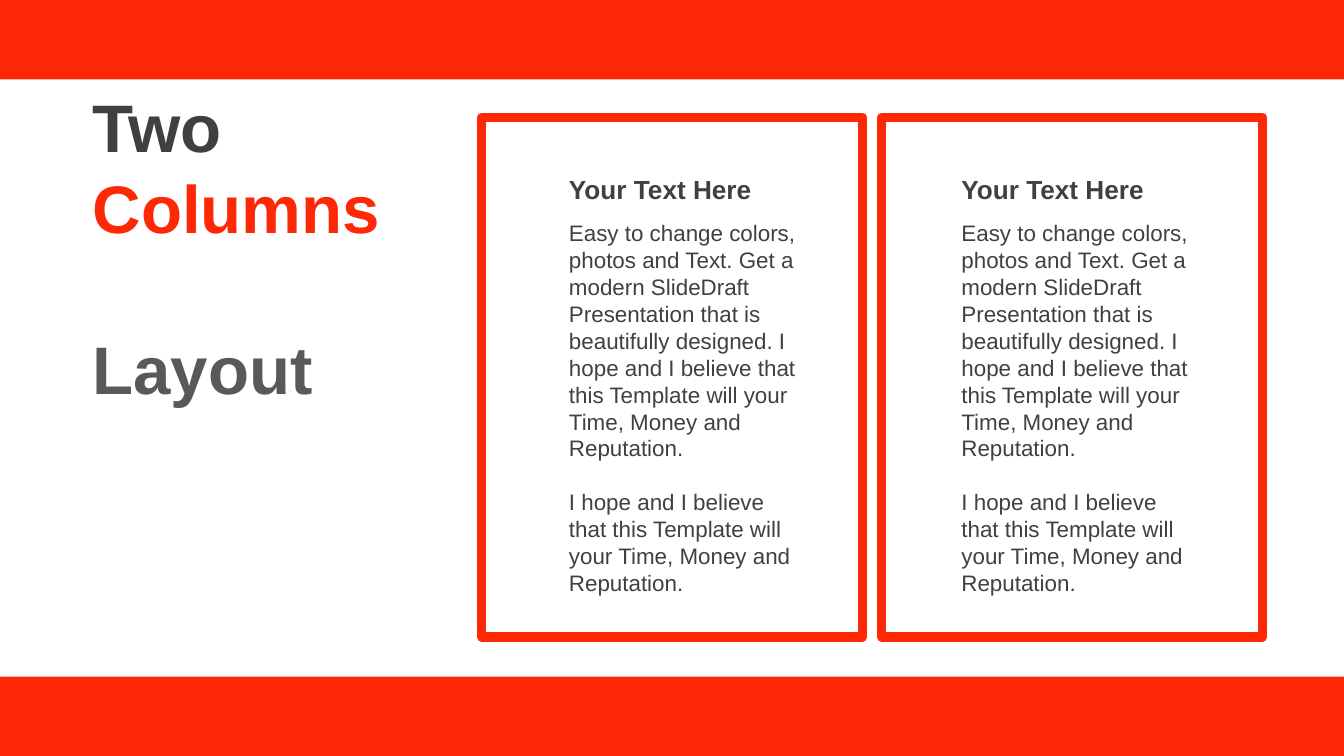
from dataclasses import dataclass

from lxml import etree
from pptx import Presentation
from pptx import util as u
from pptx.dml.color import RGBColor
from pptx.enum import shapes, text
from pptx.oxml import ns

PX = 4572
SLIDE_WIDTH, SLIDE_HEIGHT = 2000, 1125


@dataclass(frozen=True)
class Theme:
    font: str = "Arial"
    accent: str = "FD2906"
    dark: str = "404040"
    gray: str = "595959"
    white: str = "FFFFFF"
    title: int = 36
    heading: int = 14
    body: int = 12
    frame: int = 5
    leading: float = 1.2


THEME = Theme()
HEADING = "Your Text Here"
BODY = [
    "Easy to change colors, photos and Text. Get a modern SlideDraft "
    "Presentation that is beautifully designed. I hope and I believe that "
    "this Template will your Time, Money and Reputation.",
    "I hope and I believe that this Template will your Time, Money and Reputation.",
]


def emu(box):
    return [value * PX for value in box]


def add_rectangle(parent, box, fill=None, line=None):
    shape = parent.shapes.add_shape(shapes.MSO_SHAPE.RECTANGLE, *emu(box))
    shape.shadow.inherit = False
    if fill:
        shape.fill.solid()
        shape.fill.fore_color.rgb = RGBColor.from_string(fill)
    else:
        shape.fill.background()
    if line:
        shape.line.color.rgb = RGBColor.from_string(line)
        shape.line.width = u.Pt(THEME.frame)
        etree.SubElement(shape.line._get_or_add_ln(), ns.qn("a:round"))
    else:
        shape.line.fill.background()


def add_text(parent, box, paragraphs, size, bold=False, anchor=text.MSO_ANCHOR.TOP):
    frame = parent.shapes.add_textbox(*emu(box)).text_frame
    frame.word_wrap = True
    frame.vertical_anchor = anchor
    line_height = u.Pt(size * THEME.leading)
    font_format = {"name": THEME.font, "size": u.Pt(size), "bold": bold}
    for index, pieces in enumerate(paragraphs):
        paragraph = frame.add_paragraph() if index else frame.paragraphs[0]
        paragraph.line_spacing = line_height
        paragraph.space_before = line_height if index else u.Pt(0)
        for piece_index, (words, color) in enumerate(pieces):
            if piece_index:
                paragraph.add_line_break()
            run = paragraph.add_run()
            run.text = words
            for name, value in font_format.items():
                setattr(run.font, name, value)
            run.font.color.rgb = RGBColor.from_string(color)
        for line_break in paragraph._p.findall(ns.qn("a:br")):
            properties = etree.SubElement(line_break, ns.qn("a:rPr"))
            properties.set("sz", str(size * 100))


def add_bands(slide, height):
    for top in (SLIDE_HEIGHT - height, 0):
        add_rectangle(slide, (0, top, SLIDE_WIDTH, height), fill=THEME.accent)


def add_title(slide, box):
    pieces = [("Two ", THEME.dark), ("Columns ", THEME.accent), ("Layout", THEME.gray)]
    add_text(slide, box, [pieces], THEME.title, True, text.MSO_ANCHOR.MIDDLE)


def add_card(slide, box, text_inset):
    left, top, width, height = box
    card = slide.shapes.add_group_shape()
    add_rectangle(card, box, line=THEME.accent)
    add_rectangle(card, (left + 41, top + 29, width - 77, height - 57), fill=THEME.white)
    text_left, text_width = left + text_inset, 378
    add_text(card, (text_left, top + 142, text_width, 586),
             [[(words, THEME.dark)] for words in BODY], THEME.body)
    add_text(card, (text_left, top + 73, text_width, 68),
             [[(HEADING, THEME.dark)]], THEME.heading, True)


def main():
    presentation = Presentation()
    presentation.slide_width, presentation.slide_height = emu((SLIDE_WIDTH, SLIDE_HEIGHT))
    slide = presentation.slides.add_slide(presentation.slide_layouts[6])
    add_bands(slide, 118)
    add_title(slide, (118, 146, 472, 442))
    for column, text_inset in enumerate((110, 99)):
        add_card(slide, (717 + column * 595, 175, 567, 773), text_inset)
    presentation.save("out.pptx")


if __name__ == "__main__":
    main()
